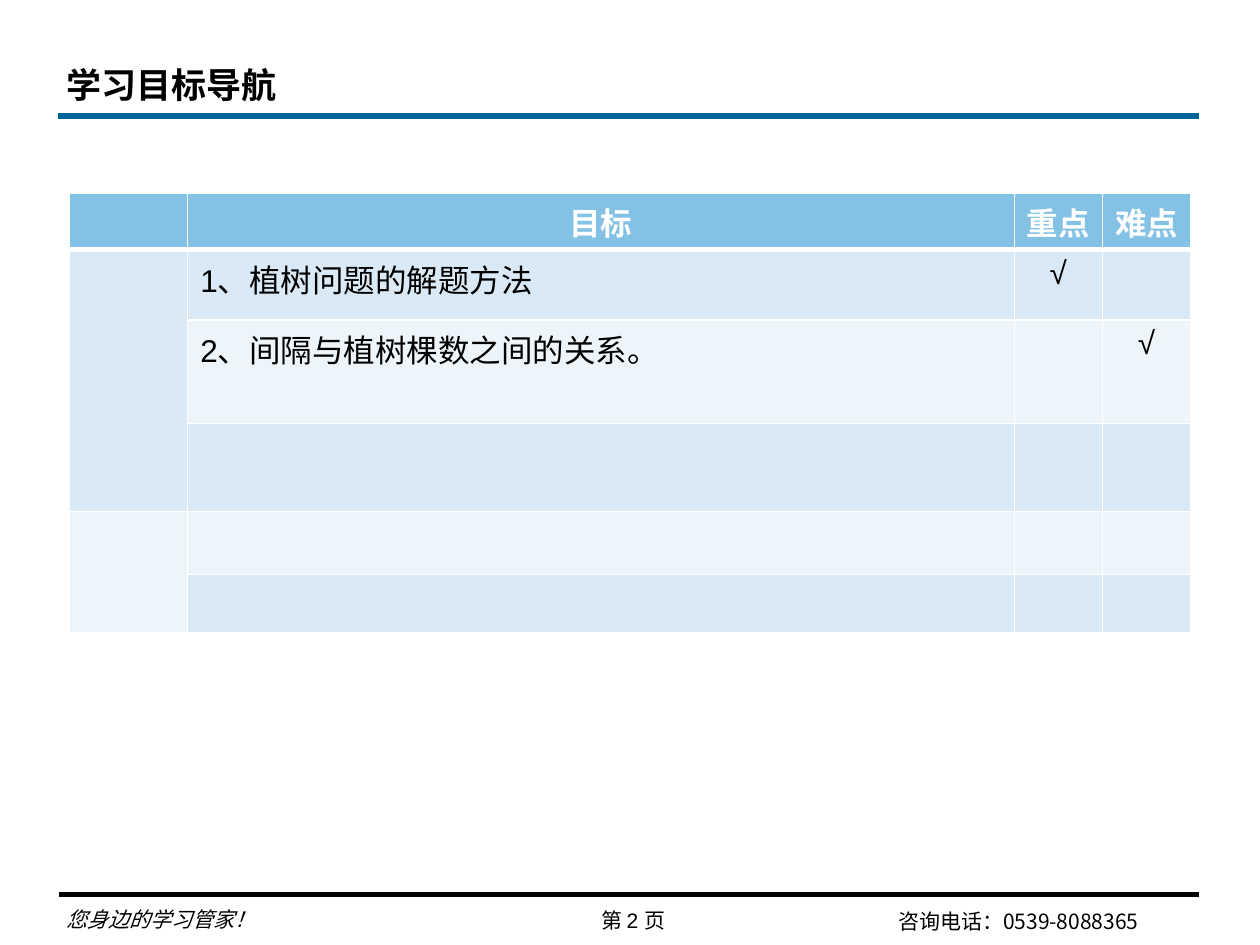
"""Build the study goals slide with its table of key and hard points."""
from lxml import etree
from pptx import Presentation
from pptx import util as u
from pptx.dml.color import RGBColor
from pptx.enum import shapes, text
from pptx.oxml.ns import qn

BLACK = RGBColor(0, 0, 0)
WHITE = RGBColor(255, 255, 255)
BLUE = RGBColor(0x00, 0x66, 0x99)
HEAD = RGBColor(0x83, 0xC2, 0xE5)
BANDS = [RGBColor(0xED, 0xF4, 0xFA), RGBColor(0xD9, 0xE9, 0xF5)]
SANS = "Noto Sans CJK SC"
LEFT, MID = text.PP_ALIGN.LEFT, text.PP_ALIGN.CENTER


def write(frame, words, size=12, font=SANS, color=BLACK, bold=False,
          italic=False, align=LEFT):
    para = frame.paragraphs[0]
    para.alignment = align
    run = para.add_run()
    run.text = words
    face = run.font
    face.size, face.name, face.bold, face.italic = u.Pt(size), font, bold, italic
    face.color.rgb = color
    if font == SANS:
        etree.SubElement(run._r.get_or_add_rPr(), qn("a:ea"), typeface=font)


def edge(cell, side, width):
    line = etree.SubElement(cell._tc.get_or_add_tcPr(), qn("a:ln" + side),
                            w=str(u.Pt(width)))
    fill = etree.SubElement(line, qn("a:solidFill"))
    etree.SubElement(fill, qn("a:srgbClr"), val=str(WHITE))


prs = Presentation()
prs.slide_width, prs.slide_height = u.Inches(10), u.Inches(7.5)
slide = prs.slides.add_slide(prs.slide_layouts[6])

for left, y, color in [(0.46, 0.92, BLUE), (0.47, 7.1, BLACK)]:
    rule = slide.shapes.add_connector(
        shapes.MSO_CONNECTOR.STRAIGHT,
        u.Inches(left), u.Inches(y), u.Inches(9.52), u.Inches(y))
    rule.line.color.rgb, rule.line.width = color, u.Pt(3)
    etree.SubElement(rule._element.spPr, qn("a:effectLst"))

TOP, LOW = text.MSO_ANCHOR.TOP, text.MSO_ANCHOR.BOTTOM
labels = [
    ((0.43, 0.25, 7.94, 0.64), LOW, "学习目标导航", dict(size=20, bold=True)),
    ((0.43, 7.09, 2.4, 0.35), LOW, "您身边的学习管家！", dict(italic=True)),
    ((4.44, 7.15, 1.17, 0.3), TOP, "第 2 页", dict(font="Arial", align=MID)),
    ((7.03, 7.11, 2.4, 0.35), LOW, "咨询电话：0539-8088365", {}),
]
for place, anchor, words, style in labels:
    frame = slide.shapes.add_textbox(*map(u.Inches, place)).text_frame
    frame.word_wrap, frame.vertical_anchor = True, anchor
    write(frame, words, **style)

cols = [0.94, 6.56, 0.7, 0.7]
rows = [0.45, 0.56, 0.82, 0.7, 0.5, 0.46]
goals = [
    ["", "目标", "重点", "难点"],
    ["", "1、植树问题的解题方法", "√", ""],
    ["", "2、间隔与植树棵数之间的关系。", "", "√"],
] + [[""] * 4] * 3
table = slide.shapes.add_table(
    len(rows), len(cols), u.Inches(0.55), u.Inches(1.53),
    u.Inches(sum(cols)), u.Inches(sum(rows))).table
for col, width in zip(table.columns, cols):
    col.width = u.Inches(width)
for row, height in zip(table.rows, rows):
    row.height = u.Inches(height)

for r, goal in enumerate(goals):
    for c, words in enumerate(goal):
        cell = table.cell(r, c)
        for side in "LRTB":
            thick = (r == 0 and side == "B") or (r == 1 and side == "T")
            edge(cell, side, 3 if thick else 1)
        cell.fill.solid()
        cell.fill.fore_color.rgb = BANDS[r % 2] if r else HEAD
        if words:
            write(cell.text_frame, words, size=18, font="Arial", bold=r == 0,
                  color=BLACK if r else WHITE,
                  align=LEFT if r and c == 1 else MID)

for first, last in [(1, 3), (4, 5)]:
    table.cell(first, 0).merge(table.cell(last, 0))

prs.save("out.pptx")
